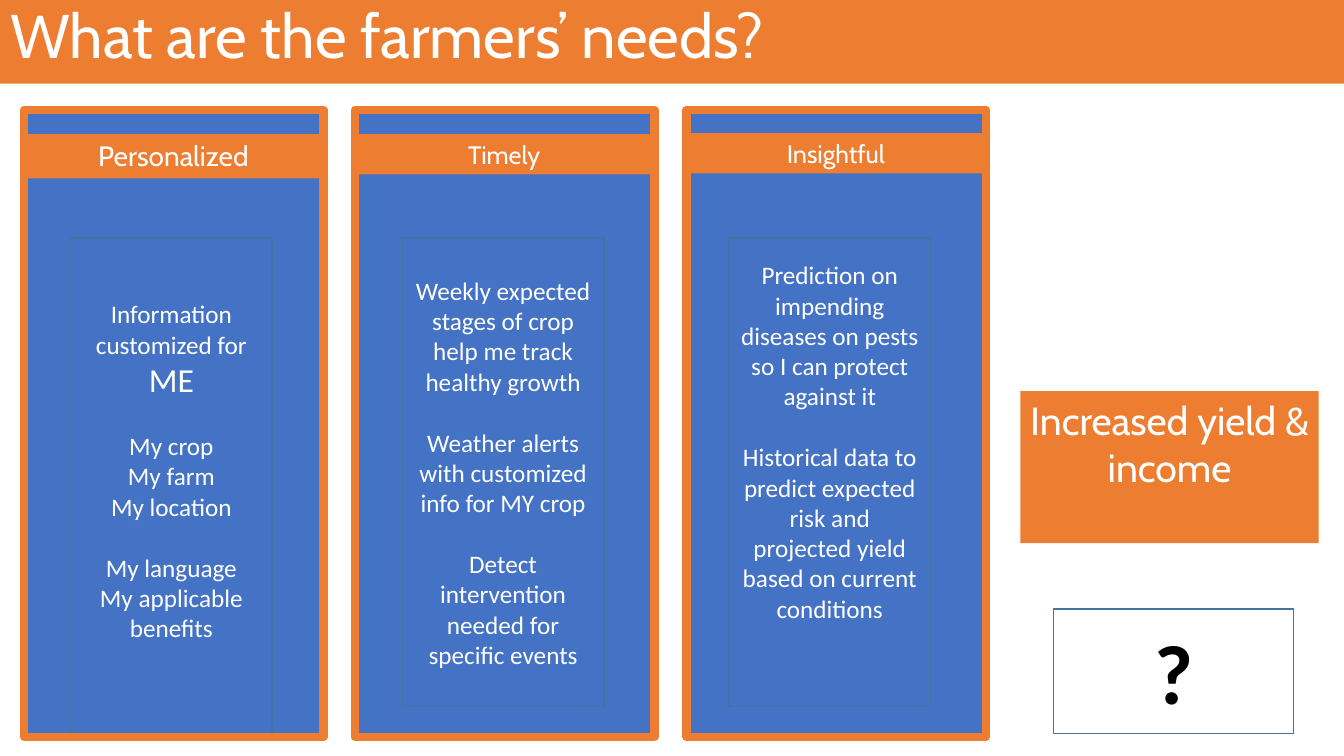
"""Build the slide on what farmers need: three cards and the outcome."""
from dataclasses import dataclass

from pptx import Presentation
from pptx.dml.color import RGBColor
from pptx.enum.shapes import MSO_SHAPE
from pptx.enum.text import MSO_ANCHOR, MSO_AUTO_SIZE, PP_ALIGN
from pptx.util import Inches, Pt

RECT = MSO_SHAPE.RECTANGLE
TOP, MIDDLE = MSO_ANCHOR.TOP, MSO_ANCHOR.MIDDLE
LEFT, CENTER = PP_ALIGN.LEFT, PP_ALIGN.CENTER
FIXED = MSO_AUTO_SIZE.NONE


@dataclass
class Theme:
    """Colours, fonts and type sizes of the slide."""
    orange = RGBColor(0xED, 0x7D, 0x31)
    blue = RGBColor(0x44, 0x72, 0xC4)
    edge = RGBColor(0x43, 0x73, 0x9E)
    white = RGBColor(0xFF, 0xFF, 0xFF)
    black = RGBColor(0, 0, 0)
    head = "Cabin"
    body = "Calibri"
    title = Pt(44)
    mark = Pt(60)
    yields = Pt(28)
    big = Pt(24)
    lead = Pt(20)
    text = Pt(18)
    gap = Pt(22)


def add_box(left, top, width, height, fill=None, line=None, weight=1):
    """Add a rectangle; with no fill or line colour that part is left off."""
    box = slide.shapes.add_shape(RECT, Inches(left), Inches(top), Inches(width), Inches(height))
    box.shadow.inherit = False
    if fill is None:
        box.fill.background()
    else:
        box.fill.solid()
        box.fill.fore_color.rgb = fill
    if line is None:
        box.line.fill.background()
    else:
        box.line.color.rgb = line
        box.line.width = Pt(weight)
    return box


def write(box, groups, font, size, color=Theme.white, anchor=TOP, align=CENTER):
    """Write groups of lines into a shape, with a gap before each later group."""
    frame = box.text_frame
    frame.word_wrap = True
    frame.auto_size = FIXED
    frame.vertical_anchor = anchor
    para = None
    for group in groups:
        for row, line in enumerate(group):
            later = para is not None
            para = frame.add_paragraph() if later else frame.paragraphs[0]
            para.text = line
            para.alignment = align
            para.space_before = Theme.gap if later and row == 0 else Pt(0)
            para.font.name = font
            para.font.size = size
            para.font.color.rgb = color
    return frame


deck = Presentation()
deck.slide_width, deck.slide_height = Inches(13.33), Inches(7.5)
slide = deck.slides.add_slide(deck.slide_layouts[5])

title = slide.shapes.title
title.left, title.top = Inches(0), Inches(0)
title.width, title.height = Inches(13.33), Inches(0.83)
title.fill.solid()
title.fill.fore_color.rgb = Theme.orange
frame = write(title, [["What are the farmers’ needs?"]], Theme.head, Theme.title, align=LEFT)
frame.paragraphs[0].line_spacing = 0.9

cards = [
    ("Personalized", Theme.lead, 0.24, 1.33, 0.44, 0.7, 4.92, 0.35, [
        ["Information customized for "],
        ["My crop", "My farm", "My location"],
        ["My language", "My applicable benefits"]]),
    ("Timely", Theme.text, 3.52, 1.33, 0.4, 3.99, 4.65, 0.05, [
        ["Weekly expected stages of crop help me track healthy growth"],
        ["Weather alerts with customized info for MY crop"],
        ["Detect intervention needed for specific events"]]),
    ("Insightful", Theme.text, 6.81, 1.32, 0.4, 7.23, 4.65, 0.66, [
        ["Prediction on impending diseases on pests so I can protect against it"],
        ["Historical data to predict expected risk and projected yield "
         "based on current conditions"]]),
]
frames = []
for name, size, left, top, tall, inner, deep, pad, needs in cards:
    add_box(left, 1.09, 2.96, 6.22, Theme.blue)
    band = add_box(left, top, 2.96, tall, Theme.orange)
    write(band, [[name]], Theme.head, size)
    panel = add_box(inner, 2.36, 2, deep, Theme.blue, Theme.edge)
    frame = write(panel, needs, Theme.body, Theme.text, anchor=MIDDLE)
    frame.margin_bottom = Inches(pad)
    frames.append(frame)
    add_box(left, 1.09, 2.97, 6.22, line=Theme.orange, weight=6)

me = frames[0].paragraphs[0].add_run()
me.text = "ME"
me.font.size = Theme.big

goal = add_box(10.12, 3.88, 2.96, 1.51, Theme.orange)
write(goal, [["Increased yield &", "income"]], Theme.head, Theme.yields)

query = add_box(10.45, 6.04, 2.38, 1.24, Theme.white, Theme.edge)
frame = write(query, [["?"]], Theme.body, Theme.mark, Theme.black, MIDDLE)
frame.paragraphs[0].font.bold = True

deck.save("out.pptx")
